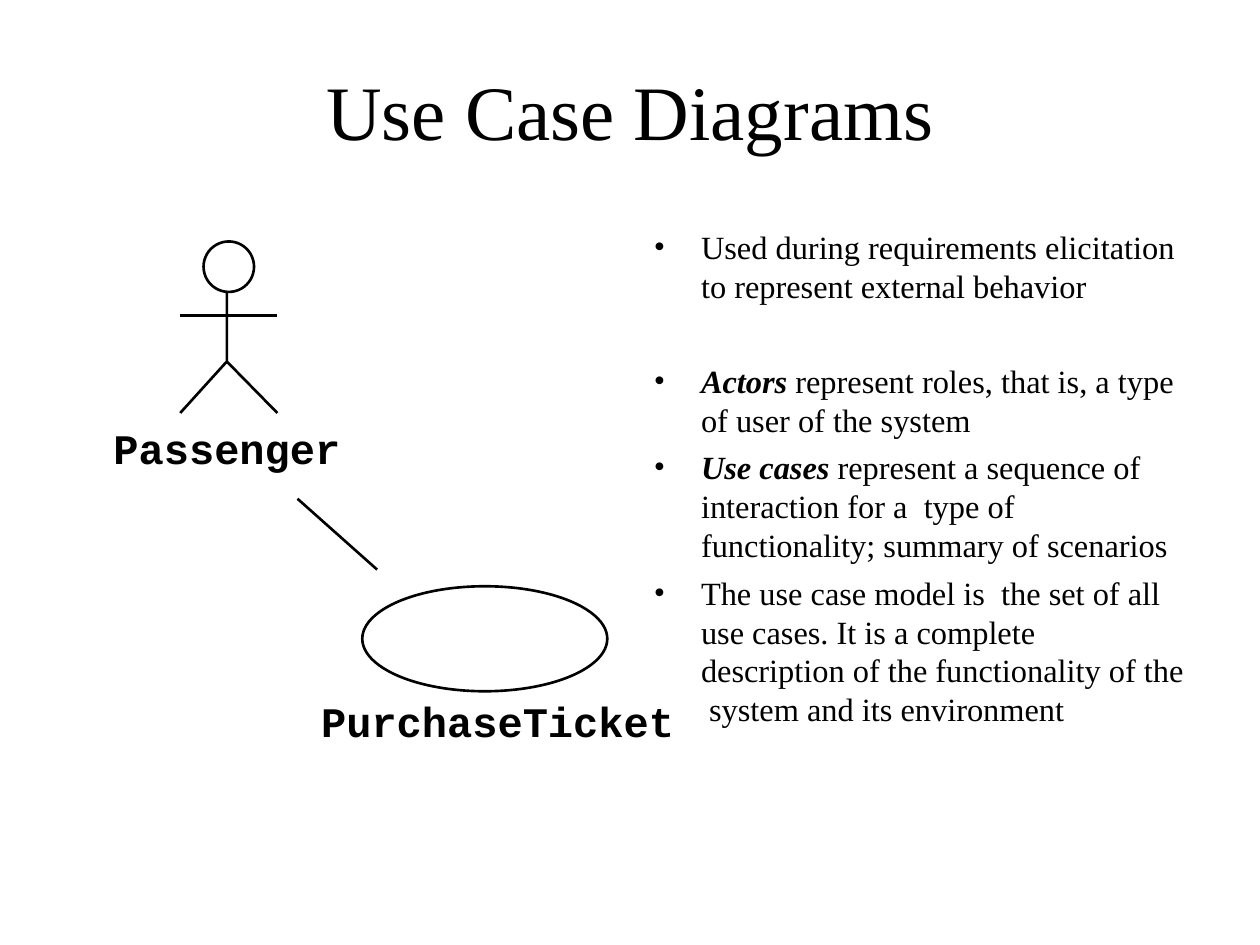
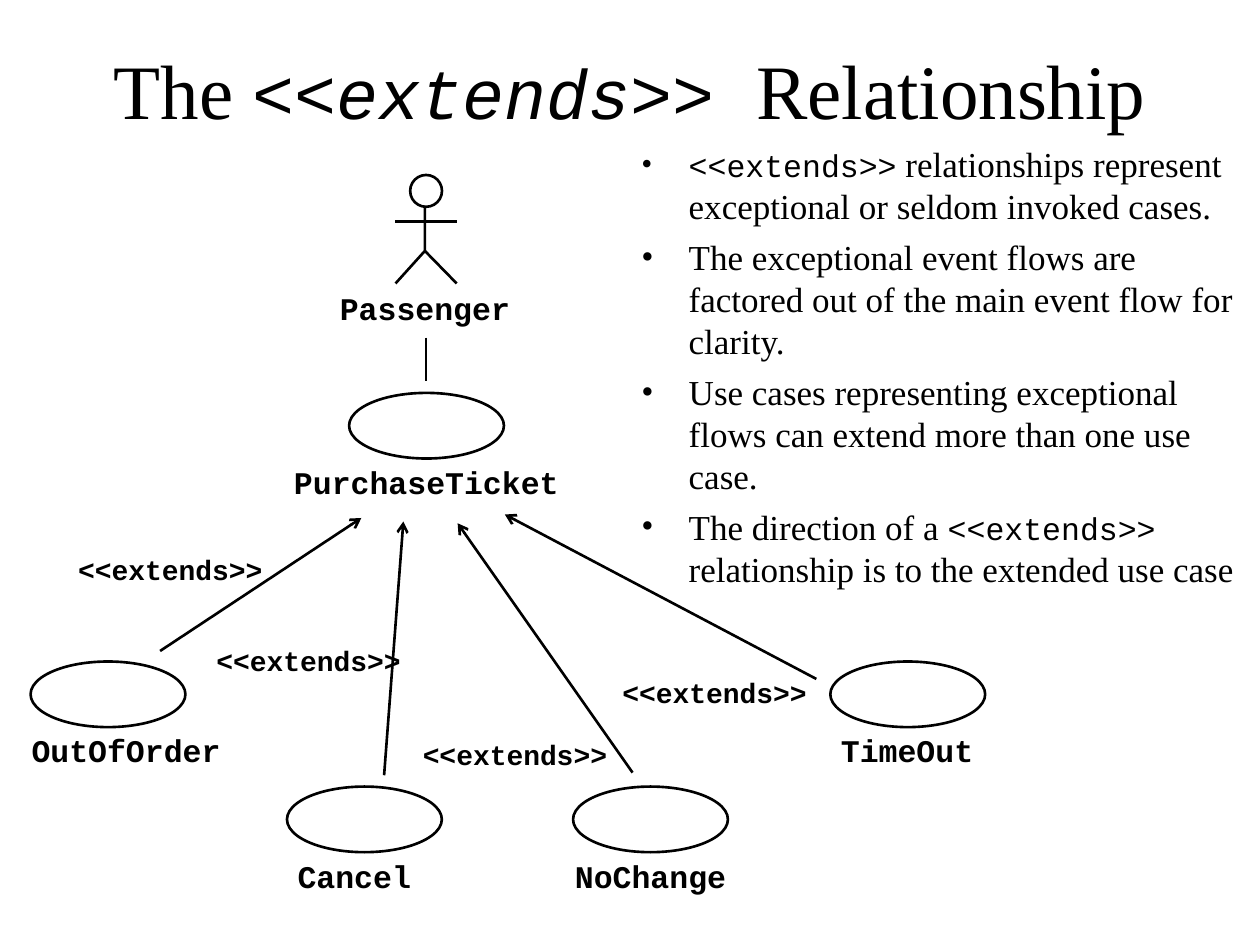
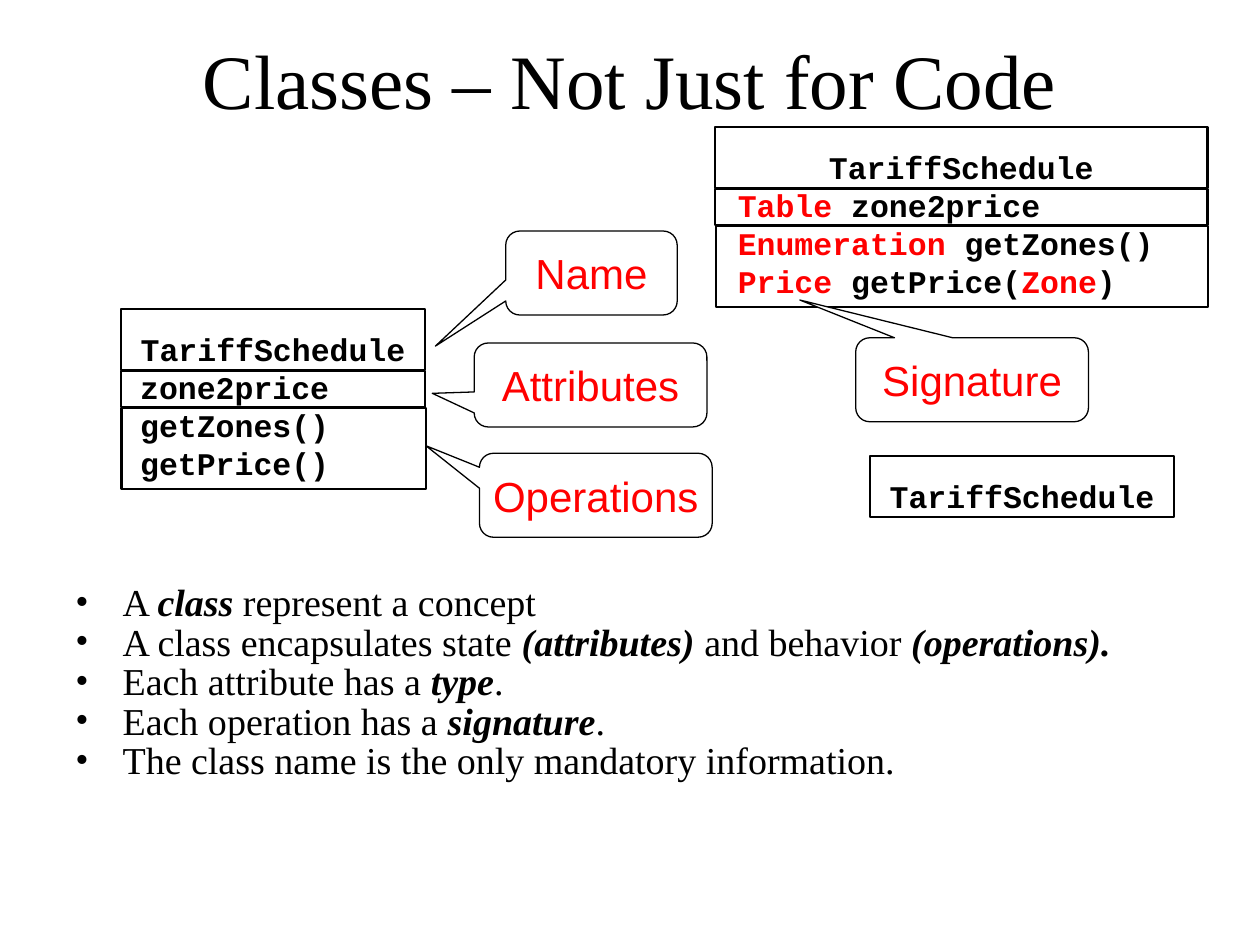
from lxml.etree import SubElement
from pptx import Presentation
from pptx.dml.color import RGBColor
from pptx.enum.shapes import MSO_CONNECTOR, MSO_SHAPE
from pptx.enum.text import MSO_ANCHOR, PP_ALIGN
from pptx.oxml.ns import qn
from pptx.util import Pt

COLORS = {"ink": "000000", "paper": "FFFFFF", "accent": "FF0000"}
SERIF, MONO, SANS = "Times New Roman", "Courier New", "Arial"
EXTENDS = "<<extends>>"


def paint(shape, fill=None, width=1.5):
    """Give a shape a black outline, an optional fill and no shadow."""
    shape.shadow.inherit = False
    shape.line.color.rgb = RGBColor.from_string(COLORS["ink"])
    shape.line.width = Pt(width)
    if fill:
        shape.fill.solid()
        shape.fill.fore_color.rgb = RGBColor.from_string(COLORS[fill])
    else:
        shape.fill.background()


def style(run, font, size, look=""):
    """Format a run by the words in its look."""
    code = "code" in look
    run.font.name = MONO if code else font
    run.font.size = Pt(round(size * 0.9) if code else size)
    run.font.bold = "bold" in look
    run.font.italic = "italic" in look
    run.font.color.rgb = RGBColor.from_string(COLORS["accent" if "red" in look else "ink"])


def write(frame, lines, font, size, look="", align=PP_ALIGN.LEFT, pitch=1.2):
    """Fill a frame with lines, each a string or a list of text and look pairs."""
    for num, line in enumerate(lines):
        par = frame.add_paragraph() if num else frame.paragraphs[0]
        par.alignment = align
        par.line_spacing = Pt(size * pitch)
        for text, extra in [(line, "")] if isinstance(line, str) else line:
            run = par.add_run()
            run.text = text
            style(run, font, size, look + " " + extra)


def frame(slide, x, y, w, h, inset=True, wrap=True):
    """Add a text box and return its frame."""
    text = slide.shapes.add_textbox(Pt(x), Pt(y), Pt(w), Pt(h)).text_frame
    text.word_wrap = wrap
    if not inset:
        text.margin_left = text.margin_right = text.margin_top = text.margin_bottom = 0
    return text


def title(slide, y, line):
    """Add the centred slide title."""
    text = frame(slide, 54, y, 612, 90)
    text.vertical_anchor = MSO_ANCHOR.MIDDLE
    write(text, [line], SERIF, 44, align=PP_ALIGN.CENTER)


def bullets(slide, x, y, w, h, lines, size, gaps, pitch=1.2):
    """Add a bulleted list with the given gap above each item."""
    text = frame(slide, x, y, w, h)
    write(text, lines, SERIF, size, pitch=pitch)
    for par, gap in zip(text.paragraphs, gaps):
        par.space_before = Pt(gap)
        props = par._p.get_or_add_pPr()
        props.set("marL", str(Pt(27)))
        props.set("indent", str(Pt(-27)))
        SubElement(props, qn("a:buFont"), typeface=SERIF)
        SubElement(props, qn("a:buChar"), char="•")


def label(slide, x, y, text, size):
    """Add a bold code label slightly wider than its letters."""
    box = frame(slide, x - 1, y, len(text) * size * 0.6 + 2, size * 1.2, False, False)
    write(box, [text], MONO, size, "bold", PP_ALIGN.CENTER)


def link(slide, x1, y1, x2, y2, head=False):
    """Draw a line, with an open arrowhead at its start if asked."""
    line = slide.shapes.add_connector(MSO_CONNECTOR.STRAIGHT, Pt(x1), Pt(y1), Pt(x2), Pt(y2))
    line.line.color.rgb = RGBColor.from_string(COLORS["ink"])
    line.line.width = Pt(1.5)
    if head:
        SubElement(line.line._get_or_add_ln(), qn("a:headEnd"), type="arrow")
    SubElement(line._element.spPr, qn("a:effectLst"))


def actor(slide, x, y, w, h, name, size):
    """Draw a stick figure in its box with its name below."""
    mid, hip, arm, foot = x + w * 0.48, y + h * 0.7, y + h * 0.43, y + h
    path = slide.shapes.build_freeform(Pt(mid), Pt(y + h * 0.2))
    path.add_line_segments([(Pt(mid), Pt(hip)), (Pt(x), Pt(foot))], close=False)
    paint(path.convert_to_shape())
    link(slide, mid, hip, x + w, foot)
    link(slide, x, arm, x + w, arm)
    face = w * 0.52
    paint(slide.shapes.add_shape(MSO_SHAPE.OVAL, Pt(x + w * 0.24), Pt(y), Pt(face), Pt(face)), "paper")
    label(slide, mid - len(name) * size * 0.3, y + h * 1.055, name, size)


def case(slide, x, y, w, h, name, size, shift):
    """Draw a use case ellipse with its name below."""
    paint(slide.shapes.add_shape(MSO_SHAPE.OVAL, Pt(x), Pt(y), Pt(w), Pt(h)))
    label(slide, x + shift, y + h + 2.5, name, size)


def part(slide, x, y, w, h):
    """Draw one outlined part of a class box."""
    paint(slide.shapes.add_shape(MSO_SHAPE.RECTANGLE, Pt(x), Pt(y), Pt(w), Pt(h)), width=1.25)


def head(slide, x, y, w):
    """Draw the name part of a class box."""
    part(slide, x, y, w, 35)
    name = "TariffSchedule"
    label(slide, x + w / 2 - len(name) * 5.4, y + 12, name, 18)


def klass(slide, x, y, w, lines, pad):
    """Draw a class box with name, attribute and operations."""
    write(frame(slide, x + pad, y + 30.5, w - 1, 72), lines, MONO, 18, "bold")
    head(slide, x, y, w)
    part(slide, x, y + 35.5, w, 20.5)
    part(slide, x + 0.5, y + 56.5, w, 46.5)


def callout(slide, x, y, w, name, tip):
    """Draw a rounded callout that points at its tip."""
    shape = slide.shapes.add_shape(MSO_SHAPE.ROUNDED_RECTANGULAR_CALLOUT, Pt(x), Pt(y), Pt(w), Pt(48))
    paint(shape, "paper", 0.75)
    shape.adjustments[0], shape.adjustments[1] = tip
    text = shape.text_frame
    text.word_wrap = False
    text.vertical_anchor = MSO_ANCHOR.MIDDLE
    write(text, [name], SANS, 24, "red", PP_ALIGN.CENTER)


def cases(slide):
    """Build the slide on use case diagrams."""
    title(slide, 17.5, "Use Case Diagrams")
    bullets(slide, 366.5, 126.5, 317.5, 354, [
        "Used during requirements elicitation to represent external behavior",
        [("Actors", "bold italic"), (" represent roles, that is, a type of user of the system", "")],
        [("Use cases", "bold italic"),
         (" represent a sequence of interaction for a  type of functionality; summary of scenarios", "")],
        "The use case model is  the set of all use cases. It is a complete description of the "
        "functionality of the  system and its environment",
    ], 18.5, [0, 32, 5, 5])
    actor(slide, 103, 138, 55.5, 98, "Passenger", 24)
    case(slide, 207, 335, 140, 60, "PurchaseTicket", 24, -23.5)
    link(slide, 170, 285, 215.5, 325.5)


def extends(slide):
    """Build the slide on the extends relationship."""
    title(slide, 5.5, [("The ", ""), (EXTENDS + " ", "code italic"), ("Relationship", "")])
    bullets(slide, 359.5, 78, 355, 378, [
        [(EXTENDS, "code"), (" relationships represent exceptional or seldom invoked cases.", "")],
        "The exceptional event flows are factored out of the main event flow for clarity.",
        "Use cases representing exceptional flows can extend more than one use case.",
        [("The direction of a ", ""), (EXTENDS, "code"), (" relationship is to the extended use case", "")],
    ], 20, [0, 5, 5, 5])
    actor(slide, 226, 100, 35, 62, "Passenger", 18)
    case(slide, 199.5, 224.5, 88.5, 37.5, "PurchaseTicket", 18, -31.5)
    link(slide, 243.5, 193, 243.5, 218)
    for name, x, y, shift, ends, tag in [
        ("TimeOut", 474.5, 378, 6, (288.5, 294, 466.5, 388), (355.5, 386)),
        ("NoChange", 327.5, 449.5, 1, (261.5, 299, 361.5, 441.5), (241.5, 421.5)),
        ("OutOfOrder", 17.5, 378, 0.5, (206.5, 296, 91.5, 372), (44.5, 316)),
        ("Cancel", 164, 449.5, 6, (230.5, 298, 219.5, 443), (123.5, 368)),
    ]:
        case(slide, x, y, 88.5, 37.5, name, 18, shift)
        link(slide, *ends, head=True)
        label(slide, *tag, EXTENDS, 16)


def classes(slide):
    """Build the slide on classes."""
    title(slide, 0, "Classes – Not Just for Code")
    bullets(slide, 36, 337.5, 648, 132, [
        [("A ", ""), ("class", "bold italic"), (" represent a concept", "")],
        [("A class encapsulates state ", ""), ("(attributes)", "bold italic"),
         (" and behavior ", ""), ("(operations).", "bold italic")],
        [("Each attribute has a ", ""), ("type", "bold italic"), (".", "")],
        [("Each operation has a ", ""), ("signature", "bold italic"), (".", "")],
        "The class name is the only mandatory information.",
    ], 21.7, [0, 7, 7, 7, 7], 0.72)
    klass(slide, 69, 176.5, 174, ["zone2price", "getZones()", "getPrice()"], 4)
    klass(slide, 408.5, 72.5, 281.5, [
        [("Table", "red"), (" zone2price", "")],
        [("Enumeration", "red"), (" getZones()", "")],
        [("Price", "red"), (" getPrice(", ""), ("Zone", "red"), (")", "")],
    ], 6)
    for name, x, y, w, tip in [
        ("Name", 289, 132, 98, (-0.91, 0.87)),
        ("Attributes", 271, 196, 133, (-0.68, 0.1)),
        ("Operations", 274, 259, 133, (-0.73, -0.59)),
        ("Signature", 489, 193, 133, (-0.74, -0.95)),
    ]:
        callout(slide, x, y, w, name, tip)
    head(slide, 497, 260.5, 174)


def main():
    """Build and save the deck."""
    deck = Presentation()
    deck.slide_width, deck.slide_height = Pt(720), Pt(540)
    for build in (cases, extends, classes):
        build(deck.slides.add_slide(deck.slide_layouts[6]))
    deck.save("out.pptx")


if __name__ == "__main__":
    main()
